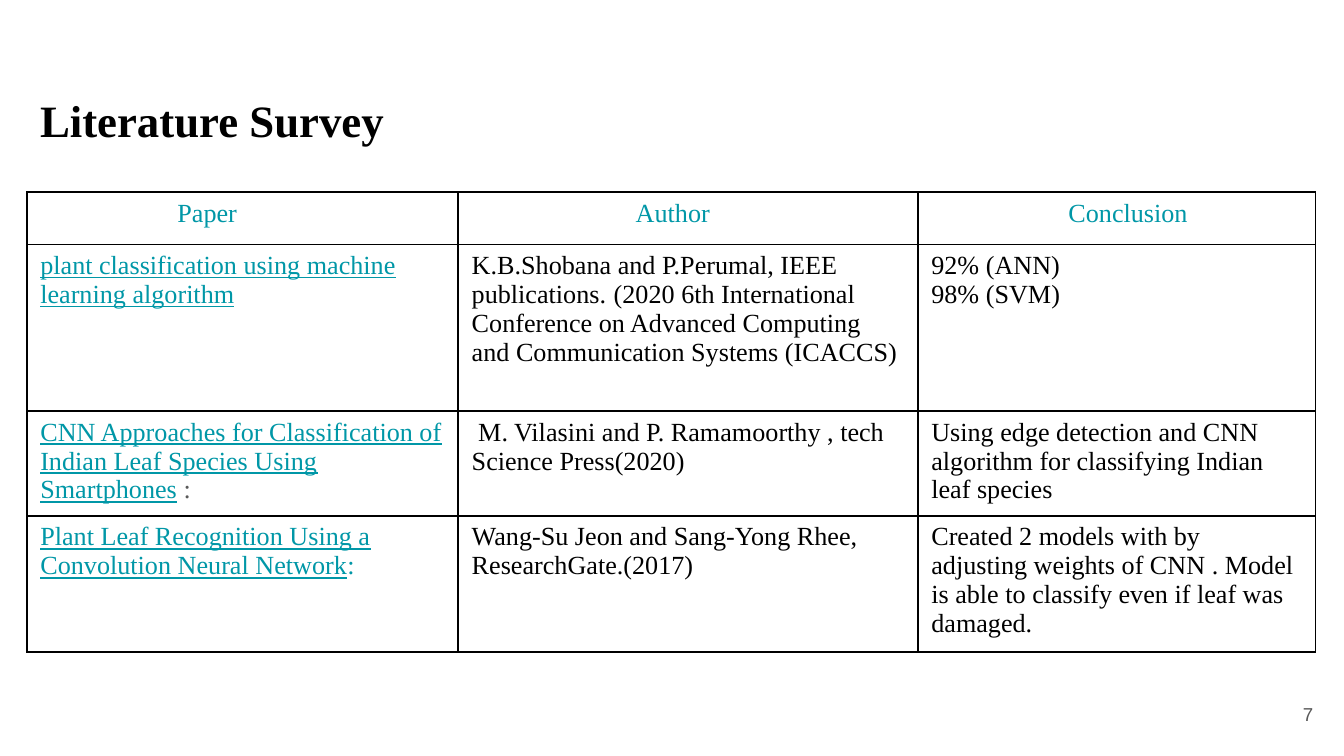
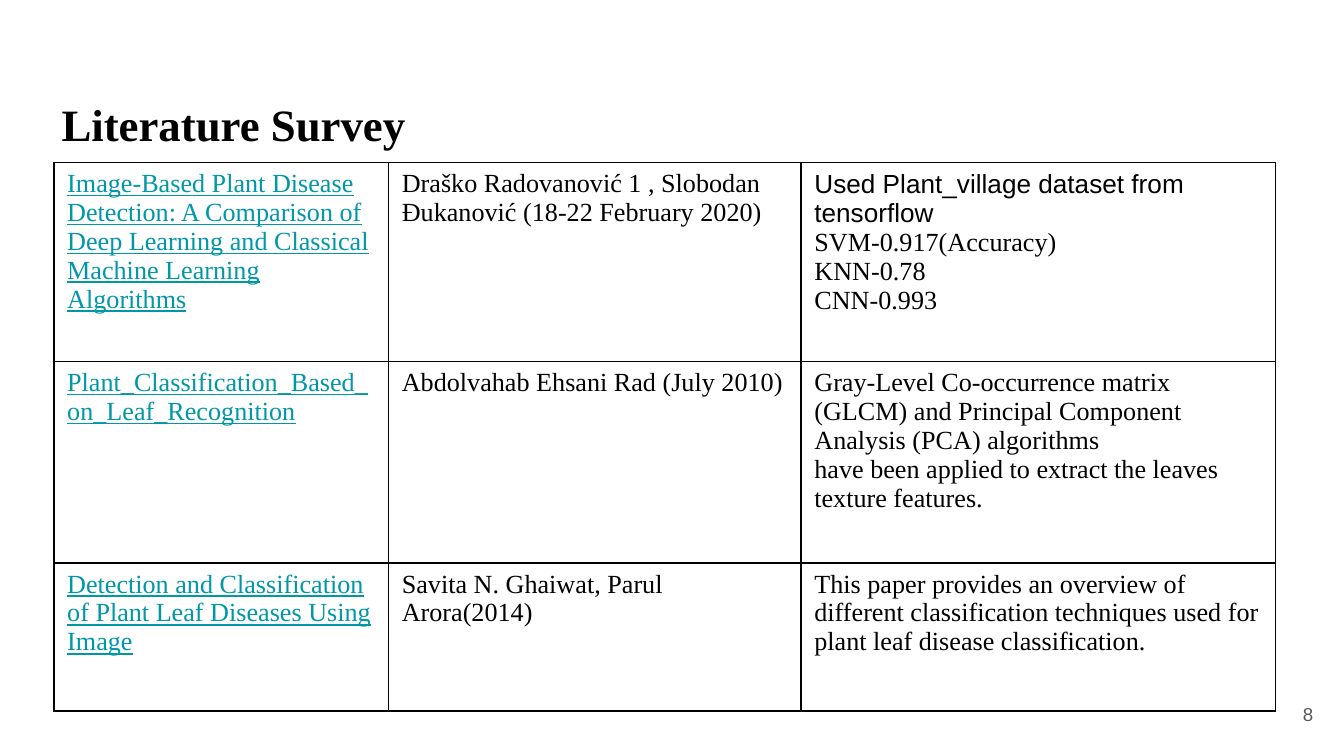
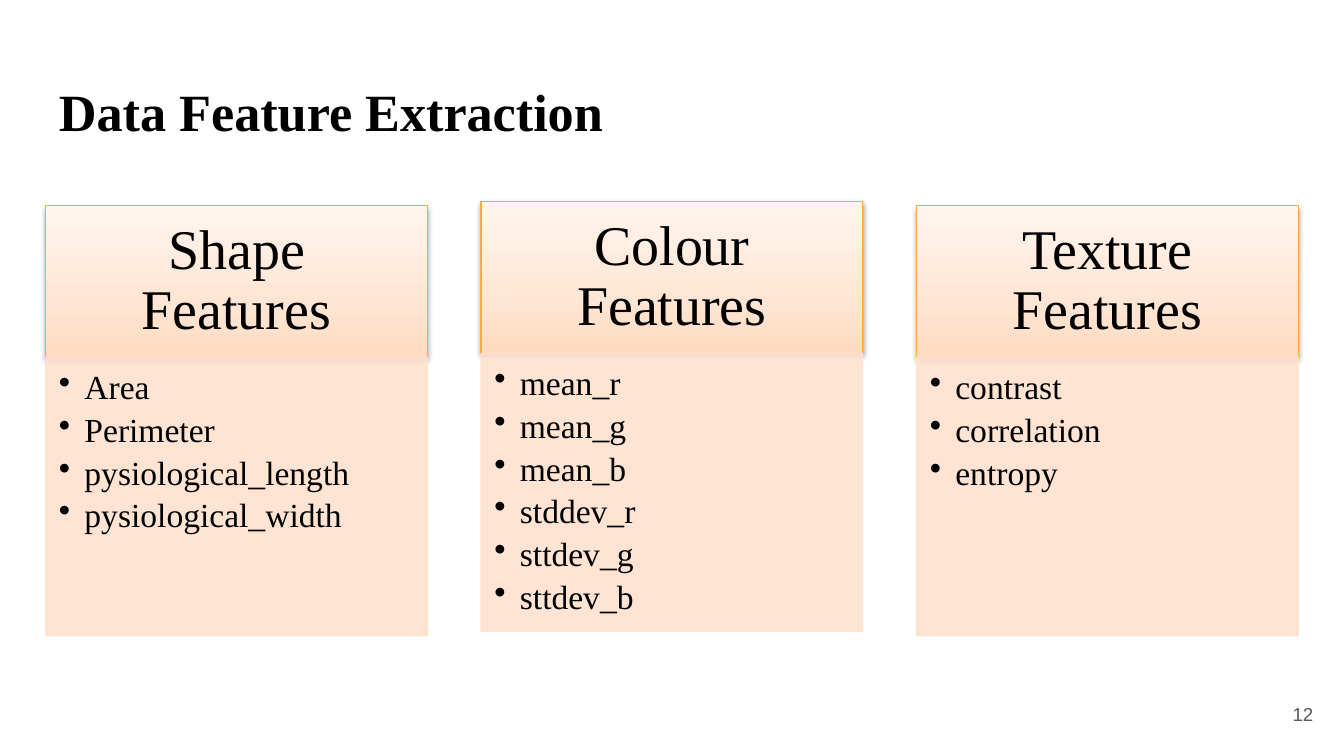
from copy import deepcopy
from lxml.etree import SubElement
from pptx import Presentation
from pptx.dml.color import RGBColor
from pptx.enum.shapes import MSO_SHAPE
from pptx.enum.text import MSO_ANCHOR, PP_ALIGN
from pptx.oxml.ns import qn
from pptx.util import Inches, Pt

BLACK = RGBColor(0x00, 0x00, 0x00)
WHITE = RGBColor(0xFF, 0xFF, 0xFF)
TEAL = RGBColor(0x00, 0x97, 0xA7)
GREY = RGBColor(0x59, 0x59, 0x59)
ORANGE = RGBColor(0xFF, 0xAB, 0x40)
PEACH = RGBColor(0xFF, 0xE2, 0xCF)
HEADER_BLEND = [
    (0, RGBColor(0xFF, 0xDA, 0xC0)),
    (0.35, RGBColor(0xFF, 0xE5, 0xD3)),
    (1, RGBColor(0xFF, 0xF5, 0xEE)),
]
SERIF, SANS = "Times New Roman", "Arial"

deck = Presentation()
deck.slide_width, deck.slide_height = Inches(10), Inches(5.625)
GRID = deck.slide_width / 100

LINK = {"colour": TEAL, "underline": True}
HEADING = {"colour": TEAL}
PLAIN = {}


def write(paragraph, text, size, colour=BLACK, font=SERIF, bold=False, underline=False):
    run = paragraph.add_run()
    run.text = text
    run.font.size = Pt(size)
    run.font.name = font
    run.font.color.rgb = colour
    run.font.bold = bold
    run.font.underline = underline


def place(slide, left, top, width, height, insets, filled=False):
    spot = [round(GRID * n) for n in (left, top, width, height)]
    if filled:
        shape = slide.shapes.add_shape(MSO_SHAPE.RECTANGLE, *spot)
        shape.shadow.inherit = False
    else:
        shape = slide.shapes.add_textbox(*spot)
    frame = shape.text_frame
    frame.word_wrap = True
    frame.margin_left, frame.margin_top, frame.margin_right, frame.margin_bottom = [
        round(GRID * n) for n in insets
    ]
    return shape


surveys = [
    {
        "title_at": (2, 6.4, 61.3, 5),
        "table_at": (2, 14.3),
        "columns": [32.1, 34.2, 29.6],
        "rows": [3.9, 12.4, 7.8, 10.1],
        "heading_indents": [10.2, 12.2, 10.2],
        "cells": [
            [[[("Paper", HEADING)]], [[("Author", HEADING)]], [[("Conclusion", HEADING)]]],
            [
                [[("plant classification using machine learning algorithm", LINK)]],
                [[
                    ("K.B.Shobana and P.Perumal, IEEE publications.", PLAIN),
                    (" ", {"font": SANS}),
                    ("(2020 6th International Conference on Advanced Computing and "
                     "Communication Systems (ICACCS)", PLAIN),
                ]],
                [[("92% (ANN)", PLAIN)], [("98% (SVM)", PLAIN)]],
            ],
            [
                [[
                    ("CNN Approaches for Classification of Indian Leaf Species Using Smartphones", LINK),
                    (" :", {"colour": GREY}),
                ]],
                [[(" M. Vilasini and P. Ramamoorthy , tech Science Press(2020)", PLAIN)]],
                [[("Using edge detection and CNN algorithm for classifying Indian leaf species", PLAIN)]],
            ],
            [
                [[
                    ("Plant Leaf Recognition Using a Convolution Neural Network", LINK),
                    (":", HEADING),
                ]],
                [[("Wang-Su Jeon and Sang-Yong Rhee, ResearchGate.(2017)", PLAIN)]],
                [[("Created 2 models with by adjusting weights of CNN . Model is able to "
                   "classify even if leaf was damaged.", PLAIN)]],
            ],
        ],
    },
    {
        "title_at": (3.6, 6.7, 50, 5),
        "table_at": (4, 12.1),
        "columns": [24.9, 30.7, 35.3],
        "rows": [14.8, 15, 11],
        "heading_indents": [],
        "cells": [
            [
                [[("Image-Based Plant Disease Detection: A Comparison of Deep Learning and "
                   "Classical Machine Learning Algorithms", LINK)]],
                [[("Draško Radovanović 1 , Slobodan Đukanović (18-22 February 2020)", PLAIN)]],
                [
                    [("Used Plant_village dataset from tensorflow", {"font": SANS})],
                    [("SVM-0.917(Accuracy)", PLAIN)],
                    [("KNN-0.78", PLAIN)],
                    [("CNN-0.993", PLAIN)],
                ],
            ],
            [
                [[("Plant_Classification_Based_on_Leaf_Recognition", LINK)]],
                [[("Abdolvahab Ehsani Rad (July 2010)", PLAIN)]],
                [
                    [("Gray-Level Co-occurrence matrix", PLAIN)],
                    [("(GLCM) and Principal Component Analysis (PCA) algorithms", PLAIN)],
                    [("have been applied to extract the leaves texture features.", PLAIN)],
                ],
            ],
            [
                [[("Detection and Classification of Plant Leaf Diseases Using Image", LINK)]],
                [[("Savita N. Ghaiwat, Parul Arora(2014)", PLAIN)]],
                [[("This paper provides an overview of different classification techniques "
                   "used for plant leaf disease classification.", PLAIN)]],
            ],
        ],
    },
]

for survey in surveys:
    slide = deck.slides.add_slide(deck.slide_layouts[6])
    columns, rows = survey["columns"], survey["rows"]
    left, top = survey["table_at"]
    spot = [round(GRID * n) for n in (left, top, sum(columns), sum(rows))]
    papers = slide.shapes.add_table(len(rows), len(columns), *spot).table
    papers.first_row = papers.horz_banding = False
    for column, width in zip(papers.columns, columns):
        column.width = round(GRID * width)
    for r, (row, height) in enumerate(zip(papers.rows, rows)):
        row.height = round(GRID * height)
        for c, paragraphs in enumerate(survey["cells"][r]):
            cell = papers.cell(r, c)
            properties = cell._tc.get_or_add_tcPr()
            for side in ("a:lnL", "a:lnR", "a:lnT", "a:lnB"):
                border = SubElement(properties, qn(side), w=str(Pt(1)))
                ink = SubElement(border, qn("a:solidFill"))
                SubElement(ink, qn("a:srgbClr"), val=str(BLACK))
            is_heading = r == 0 and survey["heading_indents"]
            if is_heading:
                cell.fill.solid()
                cell.fill.fore_color.rgb = WHITE
            else:
                cell.fill.background()
            for i, runs in enumerate(paragraphs):
                paragraph = cell.text_frame.add_paragraph() if i else cell.text_frame.paragraphs[0]
                if is_heading:
                    indent = round(GRID * survey["heading_indents"][c])
                    paragraph._p.get_or_add_pPr().set("marL", str(indent))
                for text, style in runs:
                    write(paragraph, text, 14, **style)
    title = place(slide, *survey["title_at"], (1, 0.5, 1, 0.5))
    write(title.text_frame.paragraphs[0], "Literature Survey", 24, bold=True)

slide = deck.slides.add_slide(deck.slide_layouts[6])
title = place(slide, 3.4, 4.9, 93.2, 6.3, (1, 1, 1, 1))
write(title.text_frame.paragraphs[0], "Data Feature Extraction", 28, bold=True)

features = [
    ("Shape Features", 15.3, ["Area", "Perimeter", "pysiological_length", "pysiological_width"]),
    ("Colour Features", 15, ["mean_r", "mean_g", "mean_b", "stddev_r", "sttdev_g", "sttdev_b"]),
    ("Texture Features", 15.3, ["contrast", "correlation", "entropy"]),
]
CARD_WIDTH, CARD_STEP, HEADER_HEIGHT, LIST_HEIGHT = 28.4, 32.4, 11.3, 20.7

for i, (name, top, items) in enumerate(features):
    left = 3.4 + i * CARD_STEP
    header = place(slide, left, top, CARD_WIDTH, HEADER_HEIGHT, (2.3, 1.3, 2.3, 1.3), filled=True)
    header.fill.gradient()
    header.fill.gradient_angle = 90
    stops = header._element.spPr.find(".//" + qn("a:gsLst"))
    stops.insert(1, deepcopy(stops[0]))
    for stop, (position, colour) in zip(header.fill.gradient_stops, HEADER_BLEND):
        stop.position = position
        stop.color.rgb = colour
    header.line.color.rgb = ORANGE
    header.line.width = Pt(0.75)
    effects = header._element.spPr.find(qn("a:effectLst"))
    shade = SubElement(effects, qn("a:outerShdw"), blurRad=str(Pt(3.1)), dist=str(Pt(1.6)),
                       dir="5400000", rotWithShape="0")
    shade_colour = SubElement(shade, qn("a:srgbClr"), val=str(BLACK))
    SubElement(shade_colour, qn("a:alpha"), val="38000")
    header.text_frame.vertical_anchor = MSO_ANCHOR.MIDDLE
    heading = header.text_frame.paragraphs[0]
    heading.alignment = PP_ALIGN.CENTER
    heading.line_spacing = 0.9
    write(heading, name, 30)

    listing = place(slide, left, top + HEADER_HEIGHT, CARD_WIDTH, LIST_HEIGHT,
                    (1, 1, 1.4, 1.6), filled=True)
    listing.fill.solid()
    listing.fill.fore_color.rgb = PEACH
    listing.line.color.rgb = PEACH
    listing.line.width = Pt(0.75)
    for tint in list(listing._element.spPr.iter(qn("a:srgbClr"))):
        SubElement(tint, qn("a:alpha"), val="90000")
    listing.text_frame.vertical_anchor = MSO_ANCHOR.TOP
    for n, item in enumerate(items):
        entry = listing.text_frame.add_paragraph() if n else listing.text_frame.paragraphs[0]
        properties = entry._p.get_or_add_pPr()
        properties.set("marL", str(Inches(0.19)))
        properties.set("indent", str(-Inches(0.19)))
        SubElement(properties, qn("a:buChar"), char="•")
        entry.level = 1
        entry.alignment = PP_ALIGN.LEFT
        entry.line_spacing = 0.9
        entry.space_after = Pt(3.4)
        write(entry, item, 18)

for slide, number in zip(deck.slides, ("7", "8", "12")):
    page = place(slide, 92.7, 51, 6, 4.3, (1, 1, 1, 1))
    page.text_frame.vertical_anchor = MSO_ANCHOR.MIDDLE
    page.text_frame.paragraphs[0].alignment = PP_ALIGN.RIGHT
    write(page.text_frame.paragraphs[0], number, 10, colour=GREY, font=SANS)

deck.save("out.pptx")
